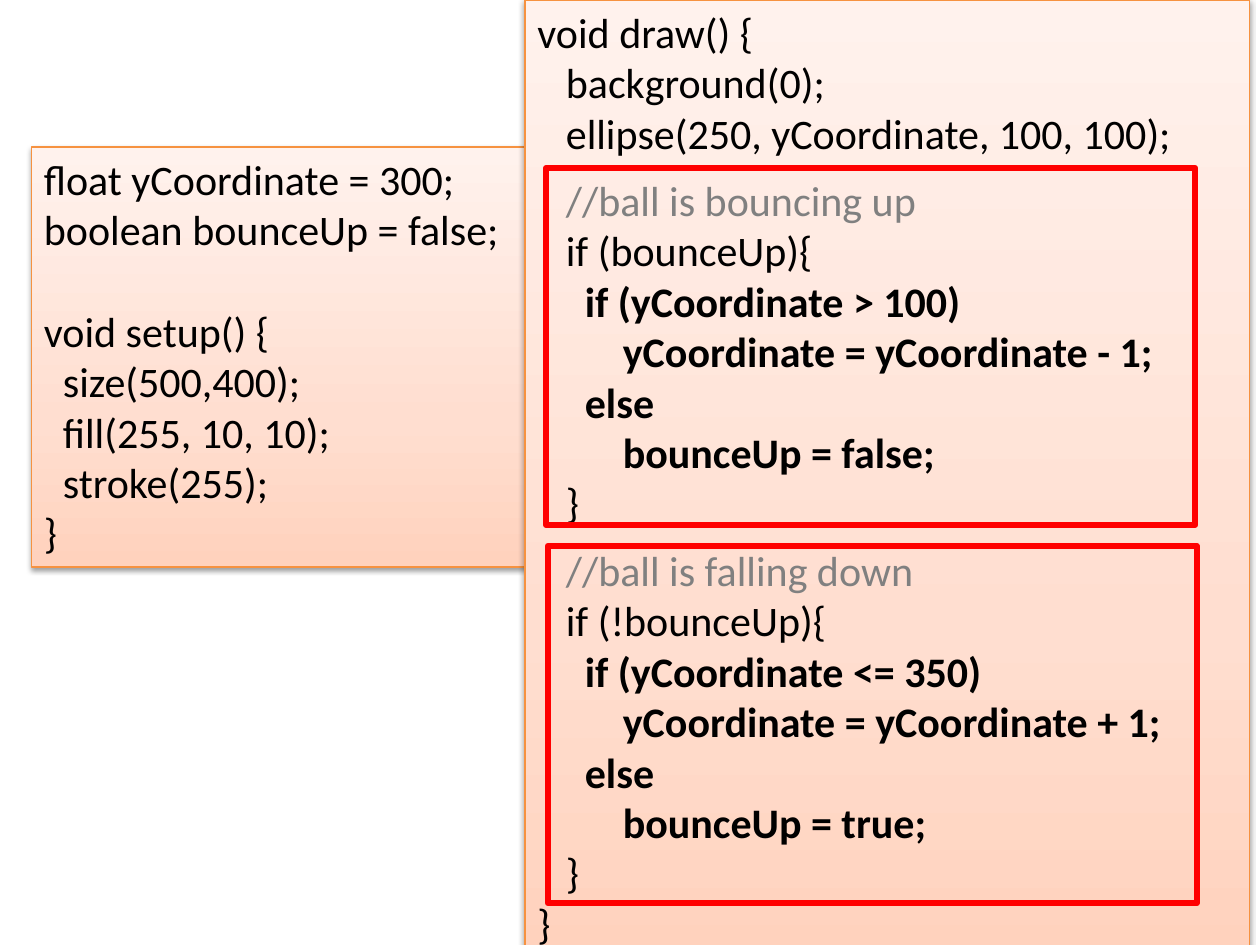
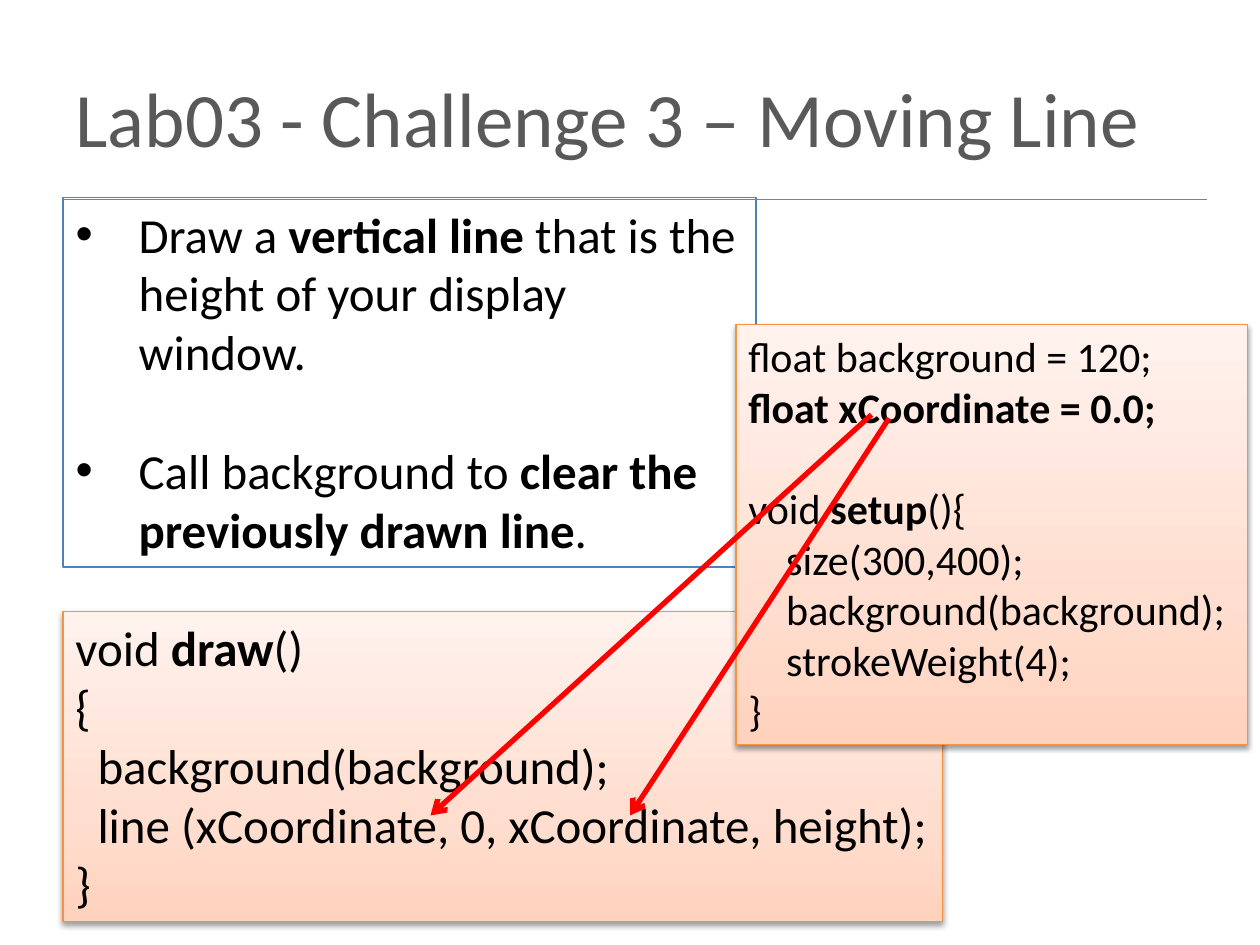
from copy import deepcopy

from pptx import Presentation
from pptx.dml.color import RGBColor
from pptx.enum.shapes import MSO_CONNECTOR, MSO_SHAPE
from pptx.enum.text import MSO_ANCHOR, MSO_AUTO_SIZE, PP_ALIGN
from pptx.oxml.ns import qn
from pptx.util import Pt
from lxml import etree

RECTANGLE = MSO_SHAPE.RECTANGLE
STRAIGHT = MSO_CONNECTOR.STRAIGHT
TOP, MIDDLE = MSO_ANCHOR.TOP, MSO_ANCHOR.MIDDLE
LEFT = PP_ALIGN.LEFT
NO_FIT, GROW = MSO_AUTO_SIZE.NONE, MSO_AUTO_SIZE.SHAPE_TO_FIT_TEXT

TITLE_AND_BODY, BLANK = 1, 6
FONT = "Calibri"
LINE_HEIGHT = 1.22
COLORS = {
    "text": "000000", "title": "595959", "comment": "808080", "rule": "808080",
    "list_border": "4F81BD", "code_border": "F69240", "highlight": "FF0000",
}
CODE_GRADIENT = [(0, "FFD2BD"), (0.35, "FFDED0"), (1, "FFF2ED")]


def rgb(name):
    return RGBColor.from_string(COLORS[name])


class Deck:
    def __init__(self):
        self.prs = Presentation()
        self.prs.slide_width, self.prs.slide_height = Pt(720), Pt(540)
        self.slide = None

    def new_slide(self, layout):
        self.slide = self.prs.slides.add_slide(self.prs.slide_layouts[layout])

    def place(self, shape, box):
        shape.left, shape.top, shape.width, shape.height = map(Pt, box)

    def outline(self, shape, color, width):
        shape.line.color.rgb = rgb(color)
        shape.line.width = Pt(width)

    def style_run(self, run, size, color="text", bold=False):
        run.font.name, run.font.size, run.font.bold = FONT, Pt(size), bold
        run.font.color.rgb = rgb(color)

    def add_runs(self, paragraph, marked, size, color="text"):
        """Fill a paragraph, setting the parts between ** marks in bold."""
        for i, part in enumerate(marked.split("**")):
            if part:
                run = paragraph.add_run()
                run.text = part
                self.style_run(run, size, color, bold=i % 2 == 1)

    def title(self, text):
        title = self.slide.shapes.title
        self.place(title, (36, 21.6, 648, 90))
        frame = title.text_frame
        frame.text = text
        frame.vertical_anchor, frame.auto_size = MIDDLE, NO_FIT
        frame.paragraphs[0].alignment = LEFT
        self.style_run(frame.paragraphs[0].runs[0], 44, "title")
        self.line((36, 114), (690, 114), "rule", 1)

    def bullets(self, box, items, size=28):
        body = self.slide.placeholders[1]
        self.place(body, box)
        self.outline(body, "list_border", 0.75)
        frame = body.text_frame
        frame.auto_size, frame.vertical_anchor = NO_FIT, TOP
        for i, item in enumerate(items):
            paragraph = frame.add_paragraph() if i else frame.paragraphs[0]
            props = paragraph._p.get_or_add_pPr()
            props.set("marL", str(Pt(36)))
            props.set("indent", str(-Pt(36)))
            etree.SubElement(props, qn("a:buFont"), typeface="Arial")
            etree.SubElement(props, qn("a:buChar"), char="•")
            paragraph.space_before = Pt(size * LINE_HEIGHT if i else 0)
            self.add_runs(paragraph, item, size)

    def rectangle(self, box, border, width):
        shape = self.slide.shapes.add_shape(RECTANGLE, *map(Pt, box))
        shape.shadow.inherit = False
        self.outline(shape, border, width)
        return shape

    def highlight(self, box):
        self.rectangle(box, "highlight", 3.5).fill.background()

    def code(self, box, groups, size=24, gap=24):
        """Draw a code panel; groups of lines are set apart by a line of gap points."""
        panel = self.rectangle(box, "code_border", 0.75)
        self.code_fill(panel)
        self.drop_shadow(panel)
        frame = panel.text_frame
        frame.word_wrap, frame.auto_size, frame.vertical_anchor = True, GROW, TOP
        for g, group in enumerate(groups):
            for n, line in enumerate(group.split("\n")):
                paragraph = frame.add_paragraph() if g or n else frame.paragraphs[0]
                paragraph.alignment = LEFT
                if g and not n:
                    paragraph.space_before = Pt(round(gap * LINE_HEIGHT, 1))
                is_comment = line.lstrip().startswith("//")
                self.add_runs(paragraph, line, size, "comment" if is_comment else "text")

    def code_fill(self, panel):
        panel.fill.gradient()
        panel.fill.gradient_angle = 90
        stops = panel._element.spPr.find(".//" + qn("a:gsLst"))
        stops.insert(1, deepcopy(stops[0]))
        for stop, (position, color) in zip(panel.fill.gradient_stops, CODE_GRADIENT):
            stop.position = position
            stop.color.rgb = RGBColor.from_string(color)

    def drop_shadow(self, panel):
        effects = panel._element.spPr.find(qn("a:effectLst"))
        shadow = etree.SubElement(
            effects, qn("a:outerShdw"), blurRad=str(Pt(3.1)), dist=str(Pt(1.6)),
            dir="5400000", rotWithShape="0")
        color = etree.SubElement(shadow, qn("a:srgbClr"), val="000000")
        etree.SubElement(color, qn("a:alpha"), val="38000")

    def line(self, start, end, color, width):
        line = self.slide.shapes.add_connector(STRAIGHT, *map(Pt, start + end))
        self.outline(line, color, width)
        etree.SubElement(line._element.spPr, qn("a:effectLst"))
        return line

    def arrow(self, start, end):
        arrow = self.line(start, end, "highlight", 3)
        stroke = arrow._element.spPr.find(qn("a:ln"))
        etree.SubElement(stroke, qn("a:tailEnd"), type="arrow")


def bouncing_ball(deck):
    deck.new_slide(BLANK)
    deck.code((18, 84, 294, 240), [
        "float yCoordinate = 300;\nboolean bounceUp = false;",
        "void setup() {\n  size(500,400);\n  fill(255, 10, 10);\n  stroke(255);\n}",
    ])

    def bounce(comment, condition, limit, step, outcome):
        return "\n".join([
            f"   //{comment}",
            f"   if ({condition}){{",
            f"**     if (yCoordinate {limit})**",
            f"**         yCoordinate = yCoordinate {step};**",
            "**     else**",
            f"**         bounceUp = {outcome};**",
            "   }",
        ])

    deck.code((300, 0, 414, 550), [
        "void draw() {\n   background(0);\n   ellipse(250, yCoordinate, 100, 100);",
        bounce("ball is bouncing up", "bounceUp", "> 100", "- 1", "false"),
        bounce("ball is falling down", "!bounceUp", "<= 350", "+ 1", "true") + "\n}",
    ], gap=8)
    deck.highlight((312, 96, 371, 204))
    deck.highlight((313, 312, 371, 204))


def moving_line(deck):
    deck.new_slide(TITLE_AND_BODY)
    deck.title("Lab03 - Challenge 3 – Moving Line")
    deck.bullets((36, 113, 396, 211), [
        "Draw a **vertical line **that is the height of your display window.",
        "Call background to **clear the previously drawn line**.",
    ])
    deck.code((36, 349.5, 502.5, 177), [
        "void **draw**()\n{\n  background(background);\n"
        "  line (xCoordinate, 0, xCoordinate, height);\n}",
    ], size=28)
    deck.code((420.5, 185.5, 292.5, 240), [
        "float background = 120;\n**float xCoordinate = 0.0;**",
        "void **setup**(){\n    size(300,400);\n    background(background);\n"
        "    strokeWeight(4);\n}",
    ])
    deck.arrow((508, 239), (360, 466))
    deck.arrow((498, 237), (246, 466))


def main():
    deck = Deck()
    bouncing_ball(deck)
    moving_line(deck)
    deck.prs.save("out.pptx")


if __name__ == "__main__":
    main()
